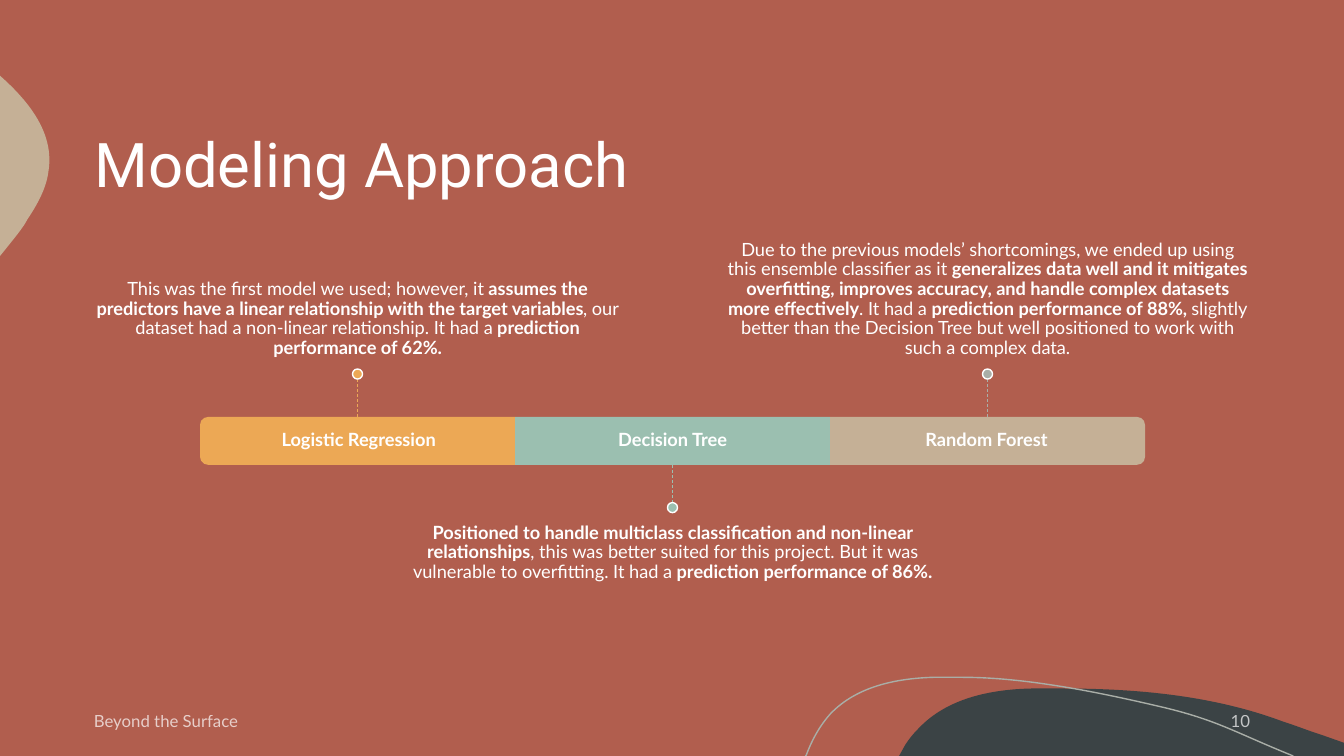
import pptx
import pptx.util
import pptx.dml.color
import pptx.enum.dml
import pptx.enum.shapes
import pptx.enum.text
import pptx.oxml.ns
import lxml.etree

Pt = pptx.util.Pt
qn = pptx.oxml.ns.qn
SHAPE = pptx.enum.shapes.MSO_SHAPE
ALIGN = pptx.enum.text.PP_ALIGN
ANCHOR = pptx.enum.text.MSO_ANCHOR
COLORS = {
    name: pptx.dml.color.RGBColor.from_string(value)
    for name, value in {
        "clay": "B15E4E", "slate": "3B4345", "sand": "C5B096", "gray": "A9AEA7",
        "white": "FFFFFF", "amber": "ECA855", "sage": "9BBFB0",
    }.items()
}

deck = pptx.Presentation()
deck.slide_width, deck.slide_height = Pt(960), Pt(540)
page = deck.slides.add_slide(deck.slide_layouts[6])
page.background.fill.solid()
page.background.fill.fore_color.rgb = COLORS["clay"]


def add_text(frame, runs, size, font="Lato", align=ALIGN.LEFT, anchor=ANCHOR.MIDDLE,
             insets=(7.2, 3.6, 7.2, 3.6), spacing=1.0):
    """Write (text, bold) runs as one paragraph; insets are left, top, right, bottom."""
    frame.word_wrap = True
    frame.vertical_anchor = anchor
    frame.margin_left, frame.margin_top, frame.margin_right, frame.margin_bottom = map(Pt, insets)
    para = frame.paragraphs[0]
    para.alignment = align
    para.line_spacing = spacing
    for text, bold in runs:
        span = para.add_run()
        span.text = text
        span.font.name, span.font.size, span.font.bold = font, Pt(size), bold
        span.font.color.rgb = COLORS["white"]
    return para


def add_outline(start, segments):
    """Draw segments of one point (straight line) or three points (Bezier curve)."""
    unit = 100  # drawing units in a point
    anchors = [start] + [segment[-1] for segment in segments]
    builder = page.shapes.build_freeform(start[0] * unit, start[1] * unit, scale=Pt(1) / unit)
    builder.add_line_segments([(x * unit, y * unit) for x, y in anchors[1:]], close=False)
    outline = builder.convert_to_shape()
    outline.shadow.inherit = False
    left, top = (min(values) for values in zip(*anchors))
    for line, segment in zip(list(outline._element.iter(qn("a:lnTo"))), segments):
        if len(segment) == 3:
            curve = lxml.etree.Element(qn("a:cubicBezTo"))
            for x, y in segment:
                lxml.etree.SubElement(curve, qn("a:pt"), x=str(round((x - left) * unit)),
                                      y=str(round((y - top) * unit)))
            line.getparent().replace(line, curve)
    return outline


hill = add_outline((758.9, 491.8), [
    ((812.2, 491.8), (866.9, 496.8), (916.6, 515.5)),
    ((925.9, 518.4), (934.6, 522), (943.9, 524.9)),
    ((960, 530.6),), ((960, 540),), ((642.2, 540),), ((646.6, 532.1),),
    ((649.4, 527.8), (652.3, 524.2), (655.9, 520.6)),
    ((676.1, 499), (707, 492.5), (736.6, 491.8)),
    ((743.8, 491.8), (751, 491.8), (758.9, 491.8)),
])
pebble = add_outline((0, 54), [
    ((0.7, 54.7),),
    ((21.6, 73.4), (38.9, 95.8), (34.6, 122.4)),
    ((33.1, 134.6), (26.6, 146.2), (19.4, 157)),
    ((17.3, 161.3), (12.2, 167.8), (5.8, 175.7)),
    ((0, 182.9),), ((0, 54),),
])
for outline, color in [(hill, "slate"), (pebble, "sand")]:
    outline.fill.solid()
    outline.fill.fore_color.rgb = COLORS[color]
    outline.line.fill.background()
ridge = add_outline((575.3, 540), [
    ((576, 539.3),),
    ((580.3, 527.8), (586.1, 517.7), (593.3, 509.8)),
    ((612, 490.3), (640.1, 484.6), (666.7, 483.8)),
    ((687.6, 483.8),),
    ((735.8, 483.8), (792, 496.1), (831.6, 505.4)),
    ((870.5, 514.8), (882.7, 523.4), (923.8, 540)),
])
ridge.fill.background()
ridge.line.color.rgb = COLORS["gray"]
ridge.line.width = Pt(1)

title = page.shapes.add_textbox(Pt(60.3), Pt(60), Pt(840), Pt(120))
add_text(title.text_frame, [("Modeling Approach", False)], 44, "Roboto", spacing=0.9)

# Timeline: label, bar colour, marker colour, bar rotation, text above the bar, description
stages = [
    ("Logistic Regression", "amber", "amber", 270, True, [
        ("This was the first model we used; however, it ", False),
        ("assumes the predictors have a linear relationship with the target variables", True),
        (", our dataset had a non-linear relationship. It had a ", False),
        ("prediction performance of 62%.", True),
    ]),
    ("Decision Tree", "sage", "sage", 0, False, [
        ("Positioned to handle multiclass classification and non-linear relationships", True),
        (", this was better suited for this project. But it was vulnerable to overfitting. It had a ", False),
        ("prediction performance of 86%.", True),
    ]),
    ("Random Forest", "sand", "gray", 90, True, [
        ("Due to the previous models’ shortcomings, we ended up using this ensemble classifier as it ", False),
        ("generalizes data well and it mitigates overfitting, improves accuracy, "
         "and handle complex datasets more effectively", True),
        (". It had a ", False),
        ("prediction performance of 88%, ", True),
        ("slightly better than the Decision Tree but well positioned to work with such a complex data.", False),
    ]),
]
bar_left, bar_top, bar_width, bar_height = 142.9, 297.8, 225, 34.2
stem, dot_size, note_width, note_height = 27, 7.2, 375, 120
for index, (label, color, marker, rotation, above, note) in enumerate(stages):
    left = bar_left + index * bar_width
    center, middle = left + bar_width / 2, bar_top + bar_height / 2
    width, height = (bar_height, bar_width) if rotation else (bar_width, bar_height)
    kind = SHAPE.ROUND_2_SAME_RECTANGLE if rotation else SHAPE.RECTANGLE
    bar = page.shapes.add_shape(kind, Pt(center - width / 2), Pt(middle - height / 2), Pt(width), Pt(height))
    bar.rotation = rotation
    bar.shadow.inherit = False
    bar.fill.solid()
    bar.fill.fore_color.rgb = COLORS[color]
    bar.line.fill.background()

    label_left = left + (1 - index) * 0.8
    name = page.shapes.add_textbox(Pt(label_left), Pt(bar_top), Pt(bar_width), Pt(bar_height))
    add_text(name.text_frame, [(label, True)], 13, align=ALIGN.CENTER, insets=(8, 8, 8, 8), spacing=0.9)

    if above:
        edge, tip = bar_top, bar_top - stem
        dot_top, note_top = tip - dot_size, tip - dot_size - note_height
        anchor, insets = ANCHOR.BOTTOM, (0, 0, 0, 7.6)
    else:
        edge, tip = bar_top + bar_height, bar_top + bar_height + stem
        dot_top, note_top = tip, tip + dot_size
        anchor, insets = ANCHOR.TOP, (0, 7.6, 0, 0)
    box = page.shapes.add_textbox(Pt(center - note_width / 2), Pt(note_top), Pt(note_width), Pt(note_height))
    add_text(box.text_frame, note, 13, align=ALIGN.CENTER, anchor=anchor, insets=insets, spacing=0.9)

    link = page.shapes.add_connector(
        pptx.enum.shapes.MSO_CONNECTOR.STRAIGHT, Pt(center), Pt(edge), Pt(center), Pt(tip))
    if not rotation:
        link.begin_connect(bar, 2)
    link.line.color.rgb = COLORS[marker]
    link.line.width = Pt(0.5)
    link.line.dash_style = pptx.enum.dml.MSO_LINE.DASH
    lxml.etree.SubElement(link._element.spPr, qn("a:effectLst"))

    dot = page.shapes.add_shape(SHAPE.OVAL, Pt(center - dot_size / 2), Pt(dot_top), Pt(dot_size), Pt(dot_size))
    dot.shadow.inherit = False
    dot.fill.solid()
    dot.fill.fore_color.rgb = COLORS[marker]
    dot.line.color.rgb = COLORS["white"]
    dot.line.width = Pt(1)

for text, left, width, align in [
    ("Beyond the Surface", 60, 520, ALIGN.LEFT),
    ("10", 780, 120, ALIGN.RIGHT),
]:
    footer = page.shapes.add_textbox(Pt(left), Pt(500.5), Pt(width), Pt(28.8))
    para = add_text(footer.text_frame, [(text, False)], 12, align=align)
    for shade in para._p.iter(qn("a:srgbClr")):
        lxml.etree.SubElement(shade, qn("a:alpha"), val="70000")

deck.save("out.pptx")
